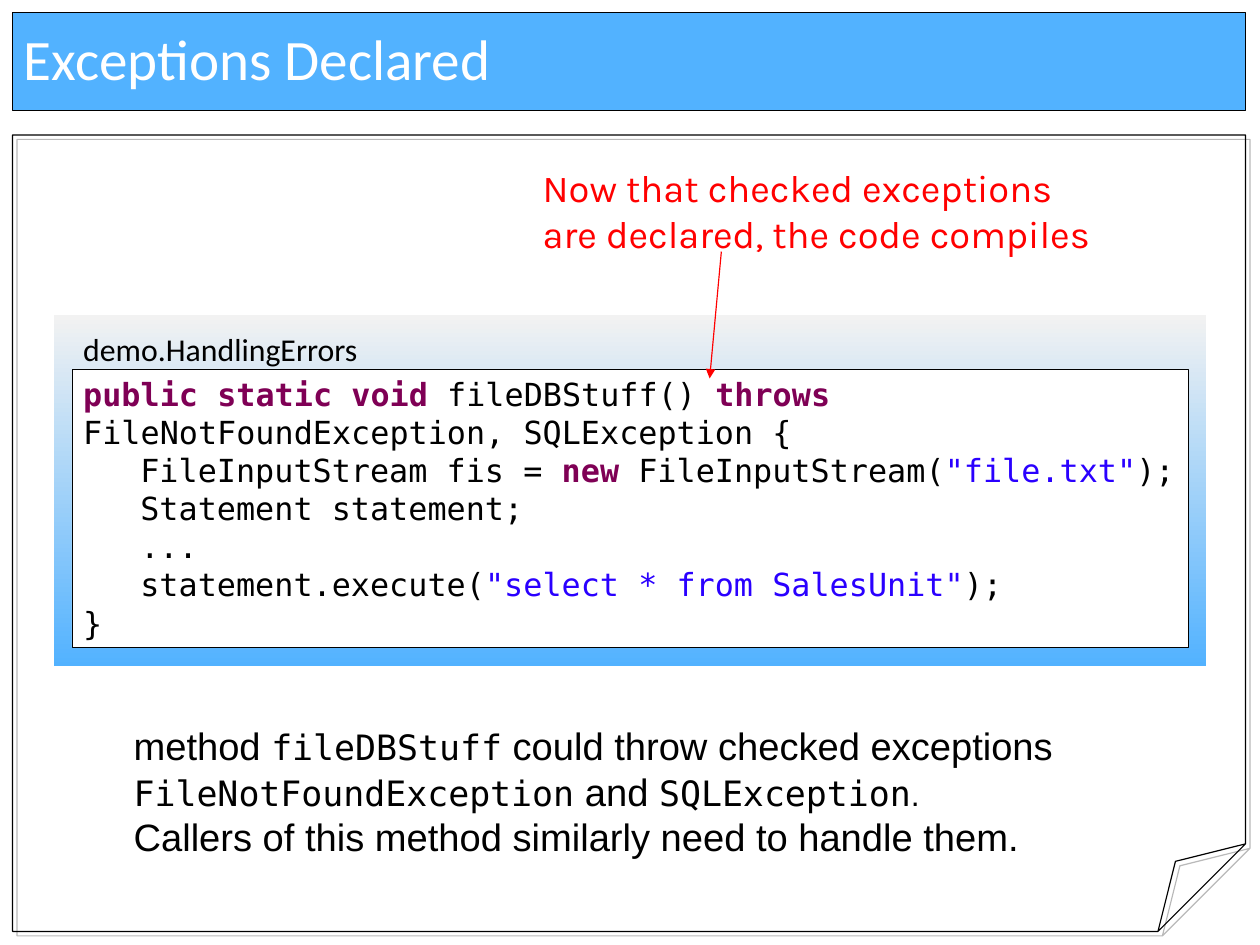
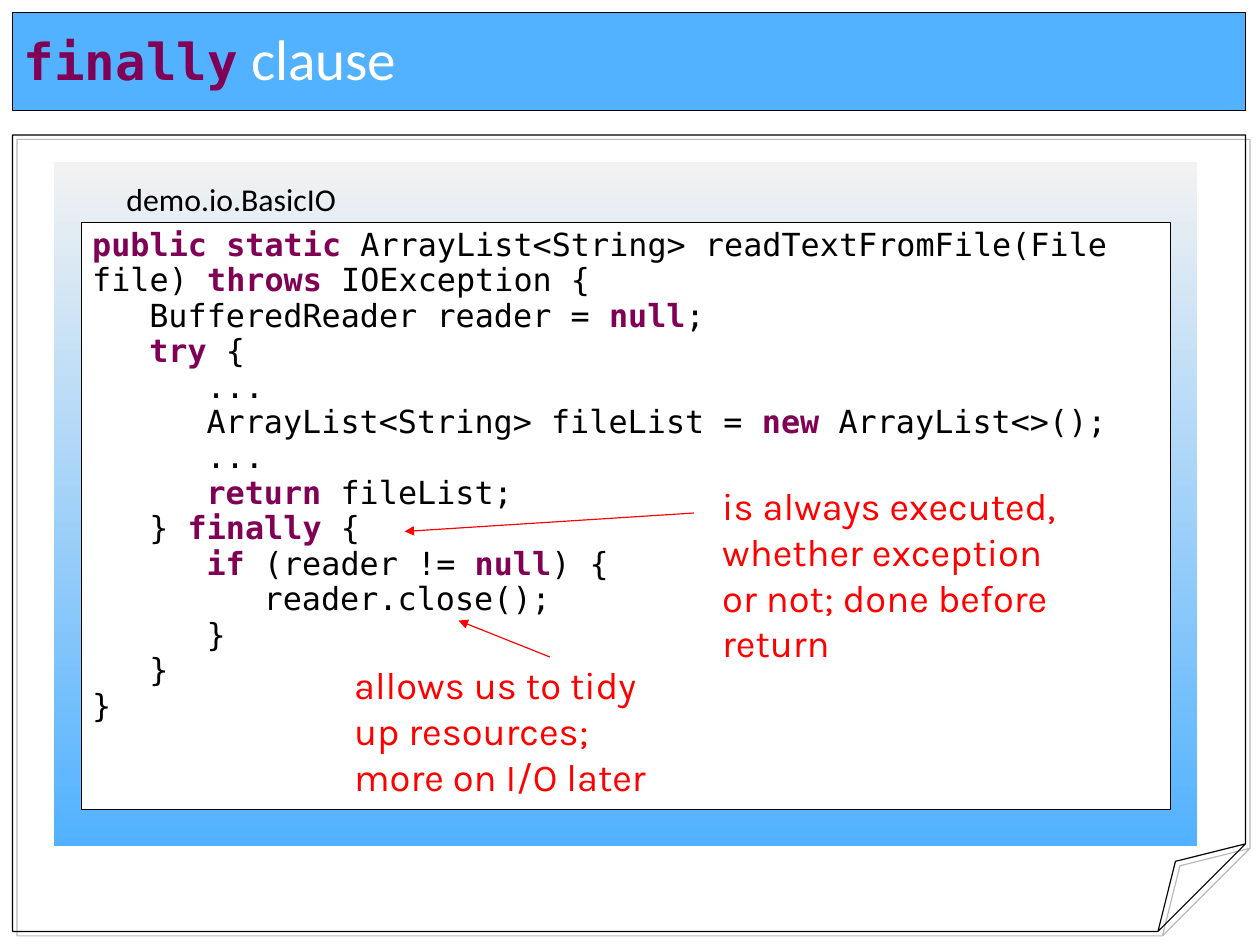
from dataclasses import dataclass
from itertools import groupby

from lxml import etree
from pptx import Presentation
from pptx.dml.color import RGBColor
from pptx.enum.shapes import MSO_CONNECTOR, MSO_SHAPE
from pptx.enum.text import MSO_ANCHOR, MSO_AUTO_SIZE, PP_ALIGN
from pptx.oxml.ns import qn
from pptx.shapes.autoshape import Shape
from pptx.slide import Slide
from pptx.text.text import Font, TextFrame
from pptx.util import Cm, Pt

RECT, ROUND_RECT = MSO_SHAPE.RECTANGLE, MSO_SHAPE.ROUNDED_RECTANGLE
FOLDED_CORNER = MSO_SHAPE.FOLDED_CORNER
STRAIGHT = MSO_CONNECTOR.STRAIGHT
TOP, MIDDLE = MSO_ANCHOR.TOP, MSO_ANCHOR.MIDDLE
LEFT = PP_ALIGN.LEFT
NO_AUTOSIZE = MSO_AUTO_SIZE.NONE
KEYWORDS = {"public", "static", "void", "throws", "new", "null", "try",
            "return", "finally", "if"}


@dataclass(frozen=True)
class Style:
    font: str
    size: int
    color: str
    bold: bool = False


@dataclass(frozen=True)
class Theme:
    blue: str = "52B2FF"
    pale: str = "F2F2F2"
    white: str = "FFFFFF"
    black: str = "000000"
    red: str = "FF0000"
    shadow: str = "808080"
    thin: float = 0.28
    line: float = 0.75
    code_indent: float = 1.27
    title: Style = Style("Calibri", 36, "FFFFFF")
    title_code: Style = Style("DejaVu Sans Mono", 32, "7F0055", True)
    label: Style = Style("Calibri", 20, "000000")
    note: Style = Style("Karla", 24, "FF0000")
    body: Style = Style("Arial", 24, "000000")
    body_small: Style = Style("Arial", 20, "000000")
    body_code: Style = Style("DejaVu Sans Mono", 22, "000000")
    code: Style = Style("DejaVu Sans Mono", 20, "000000")
    keyword: Style = Style("DejaVu Sans Mono", 20, "7F0055", True)
    string: Style = Style("DejaVu Sans Mono", 20, "2A00FF")


THEME = Theme()


@dataclass(frozen=True)
class Box:
    """A place on the slide, in centimetres."""
    left: float
    top: float
    width: float
    height: float

    def emu(self) -> tuple[Cm, Cm, Cm, Cm]:
        return Cm(self.left), Cm(self.top), Cm(self.width), Cm(self.height)


@dataclass(frozen=True)
class Span:
    text: str
    style: Style


@dataclass(frozen=True)
class Line:
    spans: list[Span]
    level: int = 0


@dataclass(frozen=True)
class TextBlock:
    box: Box
    lines: list[Line]


@dataclass(frozen=True)
class Arrow:
    x1: float
    y1: float
    x2: float
    y2: float


@dataclass(frozen=True)
class CodeSlide:
    title: Line
    panel: Box
    label: TextBlock
    code_box: Box
    code: list[str]
    spacing: float
    texts: list[TextBlock]
    arrows: list[Arrow]


TITLE_BOX = Box(0.28, 0.28, 27.4, 2.18)
PAGE_BOX = Box(0.28, 3, 27.4, 17.7)


def rgb(color: str) -> RGBColor:
    return RGBColor.from_string(color)


def plain(style: Style, *texts: str) -> list[Line]:
    """One single-style line per text."""
    return [Line([Span(text, style)]) for text in texts]


def highlight(source: str) -> Line:
    """Colour keywords and string literals; leading tabs give the level."""
    text = source.lstrip("\t")
    tokens: list[Span] = []
    for i, part in enumerate(text.split('"')):
        if i % 2:
            tokens.append(Span(f'"{part}"', THEME.string))
            continue
        for _, chars in groupby(part, str.isalpha):
            word = "".join(chars)
            tokens.append(Span(word, THEME.keyword if word in KEYWORDS else THEME.code))
    spans = [Span("".join(t.text for t in group), style)
             for style, group in groupby(tokens, lambda t: t.style)]
    return Line(spans, len(source) - len(text))


def set_font(font: Font, style: Style) -> None:
    font.name, font.size, font.bold = style.font, Pt(style.size), style.bold
    font.color.rgb = rgb(style.color)


def write(tf: TextFrame, lines: list[Line], spacing: float = 1) -> None:
    for i, line in enumerate(lines):
        p = tf.add_paragraph() if i else tf.paragraphs[0]
        p.alignment, p.line_spacing = LEFT, spacing
        if line.level:
            p._p.get_or_add_pPr().set("marL", str(Cm(line.level * THEME.code_indent)))
        uniform = len({span.style for span in line.spans}) == 1
        if uniform:
            set_font(p.font, line.spans[0].style)
        for span in line.spans:
            r = p.add_run()
            r.text = span.text
            if not uniform:
                set_font(r.font, span.style)


def add_box(s: Slide, kind: MSO_SHAPE, box: Box, fill: str | None = None,
            line: float | None = None) -> Shape:
    sp = s.shapes.add_shape(kind, *box.emu())
    if fill:
        sp.fill.solid()
        sp.fill.fore_color.rgb = rgb(fill)
    else:
        sp.fill.background()
    if line:
        sp.line.color.rgb = rgb(THEME.black)
        sp.line.width = Pt(line)
    else:
        sp.line.fill.background()
    sp.shadow.inherit = False
    return sp


def add_page(s: Slide) -> None:
    """The folded sheet with an offset grey shadow."""
    sp = add_box(s, FOLDED_CORNER, PAGE_BOX, line=THEME.line)
    spPr = sp.element.spPr
    guides = spPr.find(qn("a:prstGeom")).find(qn("a:avLst"))
    etree.SubElement(guides, qn("a:gd"), name="adj", fmla="val 11000")
    effects = spPr.find(qn("a:effectLst"))
    shadow = etree.SubElement(effects, qn("a:outerShdw"), blurRad="0",
                              dist=str(Pt(4)), dir="2700000", algn="tl", rotWithShape="0")
    color = etree.SubElement(shadow, qn("a:srgbClr"), val=THEME.shadow)
    etree.SubElement(color, qn("a:alpha"), val="55000")


def add_title(s: Slide, title: Line) -> None:
    tf = add_box(s, RECT, TITLE_BOX, THEME.blue, THEME.line).text_frame
    tf.vertical_anchor = MIDDLE
    write(tf, [title], 0.93)


def add_panel(s: Slide, box: Box) -> None:
    sp = add_box(s, ROUND_RECT, box)
    sp.adjustments[0] = 0
    sp.fill.gradient()
    sp.fill.gradient_angle = 270
    for stop, color in zip(sp.fill.gradient_stops, (THEME.pale, THEME.blue)):
        stop.color.rgb = rgb(color)


def add_code(s: Slide, box: Box, code: list[str], spacing: float) -> None:
    tf = add_box(s, RECT, box, THEME.white, THEME.thin).text_frame
    tf.word_wrap, tf.vertical_anchor = True, TOP
    write(tf, [highlight(source) for source in code], spacing)


def add_text(s: Slide, block: TextBlock) -> None:
    tf = s.shapes.add_textbox(*block.box.emu()).text_frame
    tf.word_wrap, tf.auto_size = False, NO_AUTOSIZE
    write(tf, block.lines)


def add_arrow(s: Slide, arrow: Arrow) -> None:
    cxn = s.shapes.add_connector(STRAIGHT, Cm(arrow.x1), Cm(arrow.y1),
                                 Cm(arrow.x2), Cm(arrow.y2))
    cxn.line.color.rgb = rgb(THEME.red)
    cxn.line.width = Pt(THEME.line)
    etree.SubElement(cxn.line._get_or_add_ln(), qn("a:tailEnd"), type="triangle")
    etree.SubElement(cxn._element.spPr, qn("a:effectLst"))


def build(s: Slide, content: CodeSlide) -> None:
    add_page(s)
    add_title(s, content.title)
    add_panel(s, content.panel)
    add_code(s, content.code_box, content.code, content.spacing)
    for block in [content.label, *content.texts]:
        add_text(s, block)
    for arrow in content.arrows:
        add_arrow(s, arrow)


SLIDES = [
    CodeSlide(
        title=Line([Span("Exceptions Declared", THEME.title)]),
        panel=Box(1.2, 7.01, 25.6, 7.8),
        label=TextBlock(Box(1.6, 7.21, 6.63, 1.12), plain(THEME.label, "demo.HandlingErrors")),
        code_box=Box(1.6, 8.2, 24.8, 6.18),
        code=[
            "public static void fileDBStuff() throws FileNotFoundException, SQLException {",
            '\tFileInputStream fis = new FileInputStream("file.txt");',
            "\tStatement statement;",
            "\t...",
            '\tstatement.execute("select * from SalesUnit");',
            "}",
        ],
        spacing=1,
        texts=[
            TextBlock(Box(2.72, 15.93, 20.07, 3.3), [
                Line([Span("method ", THEME.body), Span("fileDBStuff", THEME.body_code),
                      Span(" could throw checked exceptions", THEME.body)]),
                Line([Span("FileNotFoundException", THEME.body_code), Span(" and ", THEME.body),
                      Span("SQLException", THEME.body_code), Span(".", THEME.body_small)]),
                *plain(THEME.body, "Callers of this method similarly need to handle them."),
            ]),
            TextBlock(Box(11.81, 3.53, 14.4, 2.46), plain(
                THEME.note, "Now that checked exceptions", "are declared, the code compiles")),
        ],
        arrows=[Arrow(16.03, 5.59, 15.77, 8.41)],
    ),
    CodeSlide(
        title=Line([Span("finally", THEME.title_code), Span(" clause", THEME.title)]),
        panel=Box(1.2, 3.6, 25.4, 15.2),
        label=TextBlock(Box(2.56, 3.86, 5.16, 1.12), plain(THEME.label, "demo.io.BasicIO")),
        code_box=Box(1.8, 4.94, 24.2, 13.05),
        code=[
            "public static ArrayList<String> readTextFromFile(File file) throws IOException {",
            "\tBufferedReader reader = null;",
            "\ttry {",
            "\t\t...",
            "\t\tArrayList<String> fileList = new ArrayList<>();",
            "\t\t...",
            "\t\treturn fileList;",
            "\t} finally {",
            "\t\tif (reader != null) {",
            "\t\t\treader.close();",
            "\t\t}",
            "\t}",
            "}",
        ],
        spacing=0.93,
        texts=[
            TextBlock(Box(15.8, 10.6, 8, 4.32), plain(
                THEME.note, "is always executed,", "whether exception",
                "or not; done before", "return")),
            TextBlock(Box(7.62, 14.58, 8, 3.71), plain(
                THEME.note, "allows us to tidy", "up resources;", "more on I/O later")),
        ],
        arrows=[Arrow(15.42, 11.4, 8.99, 11.81), Arrow(12.22, 14.6, 10.19, 13.79)],
    ),
]


def main() -> None:
    prs = Presentation()
    prs.slide_width, prs.slide_height = Cm(28), Cm(21)
    for content in SLIDES:
        build(prs.slides.add_slide(prs.slide_layouts[6]), content)
    prs.save("out.pptx")


if __name__ == "__main__":
    main()
